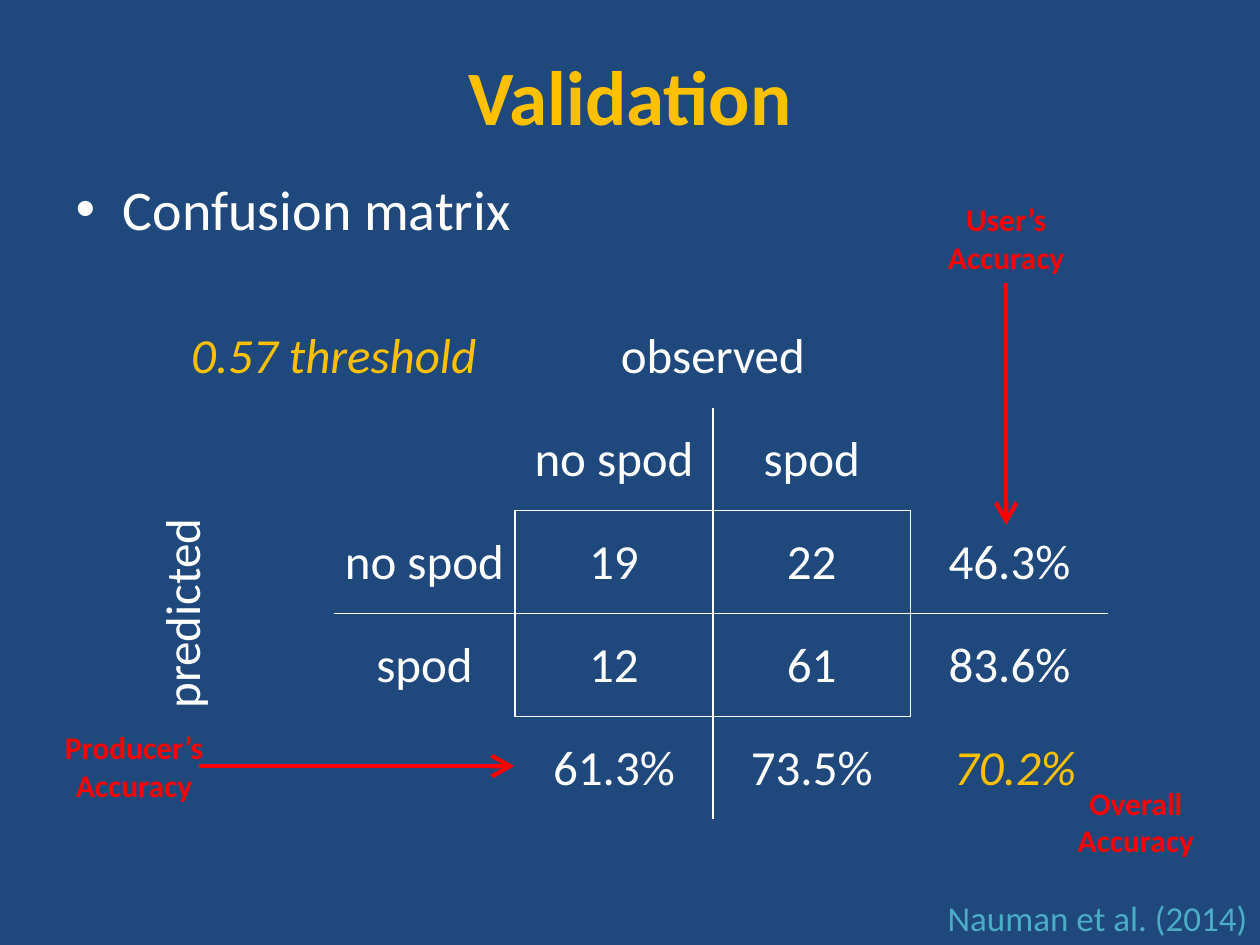
import pptx
import pptx.util
import pptx.dml.color
import pptx.enum.shapes
import pptx.enum.text
import pptx.oxml.ns
from dataclasses import dataclass
from lxml import etree

Pt = pptx.util.Pt
RGB = pptx.dml.color.RGBColor.from_string
qn = pptx.oxml.ns.qn
Align = pptx.enum.text.PP_ALIGN
Anchor = pptx.enum.text.MSO_ANCHOR


@dataclass(frozen=True)
class Theme:
    font: str = "Calibri"
    back: str = "1F497D"
    text: str = "FFFFFF"
    gold: str = "FFC000"
    red: str = "FF0000"
    cite: str = "4BACC6"
    head: int = 44
    list: int = 32
    cell: int = 28
    note: int = 18
    credit: int = 20
    rule: float = 1
    arrow: float = 2.5


theme = Theme()

TITLE = "Validation"
POINT = "Confusion matrix"
CREDIT = "Nauman et al. (2014)"
GRID = [
    ["0.57 threshold", "", "observed", "", ""],
    ["", "", "no spod", "spod", ""],
    ["predicted", "no spod", "19", "22", "46.3%"],
    ["", "spod", "12", "61", "83.6%"],
    ["", "", "61.3%", "73.5%", " 70.2%"],
]
GOLD = {(0, 0), (4, 4)}
MERGES = [((0, 0), (0, 1)), ((0, 2), (0, 3)), ((2, 0), (3, 0))]
UPRIGHT = (2, 0)
COLS = [103.7, 103.7, 113, 113, 113]
ROW = 58.8
# Ruled grid lines, the same across and down: line index -> first and end cell
RULES = {2: (2, 4), 3: (1, 5), 4: (2, 4)}
NOTES = {  # left, top, width
    "User’s\nAccuracy": (534.3, 110.9, 81.4),
    "Producer’s\nAccuracy": (29.5, 412.6, 94.3),
    "Overall\nAccuracy": (608.4, 444.2, 81.4),
}
NOTE_H = 51
ARROWS = [  # start, end, note joined at its bottom
    ((575, 161.9), (575, 300), "User’s\nAccuracy"),
    ((113.8, 437.8), (293.8, 437.8), None),
]


def style(frame, size, color, bold=False, italic=False, align=None):
    for para in frame.paragraphs:
        if align is not None:
            para.alignment = align
        for run in para.runs:
            font = run.font
            font.name, font.size = theme.font, Pt(size)
            font.bold, font.italic = bold, italic
            font.color.rgb = RGB(color)


def place(shape, *box):
    shape.left, shape.top, shape.width, shape.height = map(Pt, box)


def ruled(line, cell):
    first, end = RULES.get(line, (0, 0))
    return first <= cell < end


def edge(cell, row, col):
    """Draw or clear the four borders of a cell."""
    props = cell._tc.get_or_add_tcPr()
    sides = {
        "a:lnL": ruled(col, row),
        "a:lnR": ruled(col + 1, row),
        "a:lnT": ruled(row, col),
        "a:lnB": ruled(row + 1, col),
    }
    for tag, drawn in sides.items():
        line = etree.SubElement(props, qn(tag), w=str(int(Pt(theme.rule))))
        if drawn:
            fill = etree.SubElement(line, qn("a:solidFill"))
            etree.SubElement(fill, qn("a:srgbClr"), val=theme.text)
        else:
            etree.SubElement(line, qn("a:noFill"))


def matrix(slide):
    frame = slide.shapes.add_table(
        len(GRID), len(COLS), Pt(87), Pt(174.2),
        Pt(sum(COLS)), Pt(ROW * len(GRID)))
    table = frame.table
    table.first_row = table.horz_banding = False
    for col, width in zip(table.columns, COLS):
        col.width = Pt(width)
    for r, texts in enumerate(GRID):
        table.rows[r].height = Pt(ROW)
        for c, text in enumerate(texts):
            cell = table.cell(r, c)
            edge(cell, r, c)
            cell.fill.background()
            cell.vertical_anchor = Anchor.MIDDLE
            cell.margin_left = cell.margin_right = cell.margin_top = Pt(0.7)
            cell.margin_bottom = 0
            cell.text_frame.text = text
            gold = (r, c) in GOLD
            style(cell.text_frame, theme.cell,
                  theme.gold if gold else theme.text,
                  italic=gold, align=Align.CENTER)
    for start, end in MERGES:
        table.cell(*start).merge(table.cell(*end))
    table.cell(*UPRIGHT)._tc.get_or_add_tcPr().set("vert", "vert270")


def label(slide, text, box, size, color, bold, align):
    shape = slide.shapes.add_textbox(*map(Pt, box))
    frame = shape.text_frame
    frame.text = text
    frame.word_wrap = False
    frame.auto_size = pptx.enum.text.MSO_AUTO_SIZE.SHAPE_TO_FIT_TEXT
    style(frame, size, color, bold, align=align)
    return shape


def arrow(slide, start, end, note):
    line = slide.shapes.add_connector(
        pptx.enum.shapes.MSO_CONNECTOR.STRAIGHT, *map(Pt, start + end))
    if note is not None:
        line.begin_connect(note, 2)
    line.line.color.rgb = RGB(theme.red)
    line.line.width = Pt(theme.arrow)
    props = line._element.spPr
    etree.SubElement(props.find(qn("a:ln")), qn("a:tailEnd"),
                     type="arrow", w="lg", len="lg")
    etree.SubElement(props, qn("a:effectLst"))


def cite(slide):
    """Add the credit, one level down but with no indent to narrow it."""
    shape = label(slide, CREDIT, (532.8, 508.5, 187.2, 31.5), theme.credit,
                  theme.cite, False, Align.RIGHT)
    para = shape.text_frame.paragraphs[0]
    para.level = 1
    props = para._p.get_or_add_pPr()
    props.set("marL", "0")
    props.set("indent", "0")


def main():
    deck = pptx.Presentation()
    deck.slide_width, deck.slide_height = Pt(720), Pt(540)
    slide = deck.slides.add_slide(deck.slide_layouts[1])
    slide.background.fill.solid()
    slide.background.fill.fore_color.rgb = RGB(theme.back)

    title, body = slide.placeholders
    place(title, 36, 18, 648, 72)
    title.text_frame.text = TITLE
    title.text_frame.vertical_anchor = Anchor.MIDDLE
    style(title.text_frame, theme.head, theme.gold, True, align=Align.CENTER)
    place(body, 36, 96, 648, 403)
    body.text_frame.text = POINT
    style(body.text_frame, theme.list, theme.text)

    matrix(slide)
    notes = {
        text: label(slide, text, (*box, NOTE_H), theme.note, theme.red,
                    True, Align.CENTER)
        for text, box in NOTES.items()
    }
    for start, end, name in ARROWS:
        arrow(slide, start, end, notes.get(name))
    cite(slide)
    deck.save("out.pptx")


if __name__ == "__main__":
    main()
